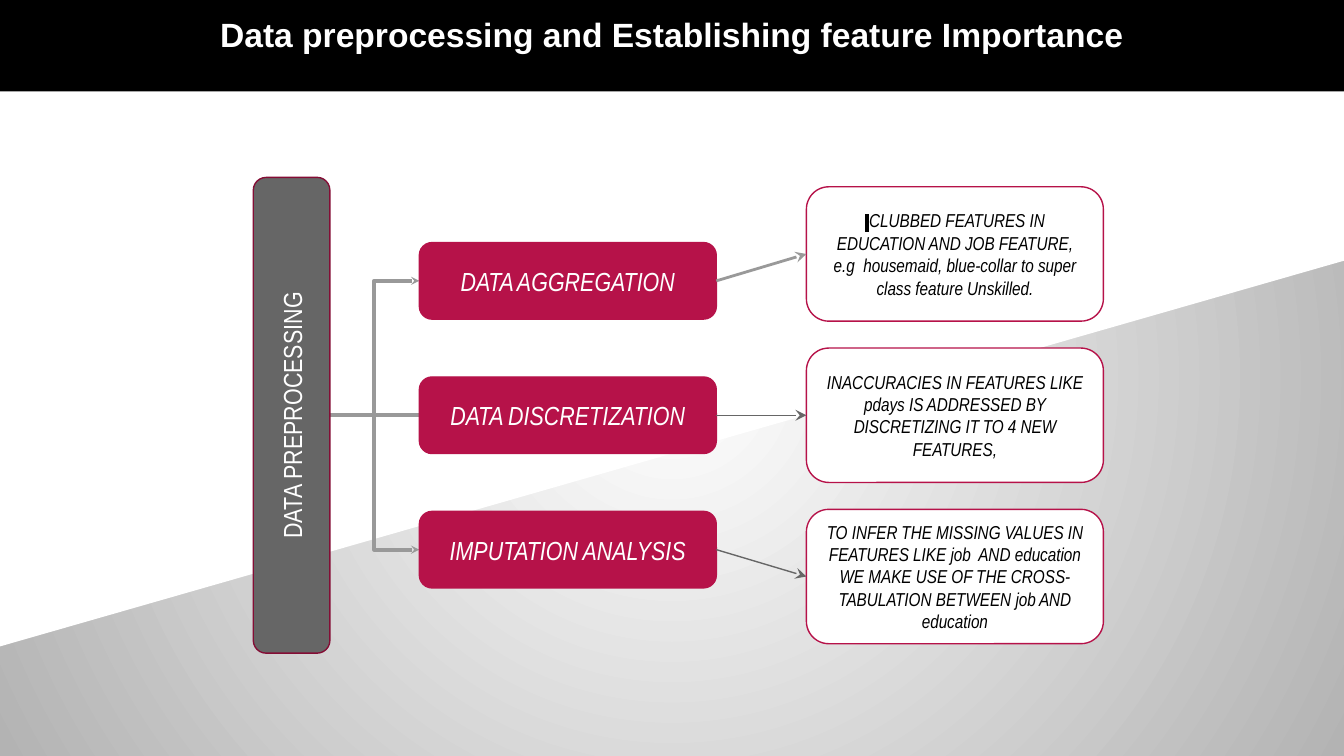
"""Build a slide that maps data preprocessing steps to their outcomes."""
from dataclasses import dataclass

from lxml.etree import SubElement
from pptx import Presentation
from pptx.dml.color import RGBColor
from pptx.enum.shapes import MSO_CONNECTOR as Link, MSO_SHAPE as Shape
from pptx.enum.text import MSO_ANCHOR, MSO_AUTO_SIZE, PP_ALIGN
from pptx.oxml import parse_xml
from pptx.oxml.ns import nsdecls, qn
from pptx.util import Inches, Pt

BLACK = RGBColor(0x00, 0x00, 0x00)
WHITE = RGBColor(0xFF, 0xFF, 0xFF)
CRIMSON = RGBColor(0xB6, 0x12, 0x49)
MAROON = RGBColor(0x84, 0x0D, 0x35)
DARK_GRAY = RGBColor(0x66, 0x66, 0x66)
MID_GRAY = RGBColor(0x99, 0x99, 0x99)
SILVER = RGBColor(0xB3, 0xB3, 0xB3)

MIDDLE = 3.09
STEP_PITCH, CARD_PITCH = 1.0, 1.2
SPINE_X, STEP_X, CARD_X = 2.17, 3.12, 6.0
BOX_W, STEP_H, CARD_H = 2.21, 0.57, 1.0
SPINE_LENGTH, SPINE_RIGHT = 3.54, 2.45


@dataclass
class Step:
    name: str
    outcome: str
    arrow_color: RGBColor
    arrow_width: float
    marked: bool = False


@dataclass
class Style:
    fill: RGBColor
    line: RGBColor
    color: RGBColor
    size: int
    italic: bool = True


SPINE = Style(DARK_GRAY, MAROON, WHITE, 14, False)
STEP = Style(CRIMSON, CRIMSON, WHITE, 14)
CARD = Style(WHITE, CRIMSON, BLACK, 10)

STEPS = [
    Step("DATA AGGREGATION",
         "CLUBBED FEATURES IN EDUCATION AND JOB FEATURE, e.g  housemaid, "
         "blue-collar to super class feature Unskilled.", MID_GRAY, 1.5, True),
    Step("DATA DISCRETIZATION",
         "INACCURACIES IN FEATURES LIKE pdays IS ADDRESSED BY DISCRETIZING "
         "IT TO 4 NEW FEATURES,", DARK_GRAY, 0.75),
    Step("IMPUTATION ANALYSIS",
         "TO INFER THE MISSING VALUES IN FEATURES LIKE job  AND education WE "
         "MAKE USE OF THE CROSS-TABULATION BETWEEN job AND education",
         DARK_GRAY, 0.75),
]


def set_frame(tf, anchor) -> None:
    tf.word_wrap = True
    tf.auto_size = MSO_AUTO_SIZE.NONE
    tf.vertical_anchor = anchor
    tf.margin_left = tf.margin_right = Inches(0.1)
    tf.margin_top = tf.margin_bottom = Inches(0.1)
    tf.paragraphs[0].alignment = PP_ALIGN.CENTER


def set_font(r, name: str, size: int, color: RGBColor) -> None:
    r.font.name = name
    r.font.size = Pt(size)
    r.font.color.rgb = color


def set_background(s) -> None:
    fill = s.background.fill
    fill.gradient()
    for stop, color in zip(fill.gradient_stops, (WHITE, SILVER)):
        stop.color.rgb = color
    grad = s.background._cSld.find(".//" + qn("a:gradFill"))
    grad.replace(grad.find(qn("a:lin")), parse_xml(
        f'<a:path {nsdecls("a")} path="circle">'
        '<a:fillToRect l="50000" t="50000" r="50000" b="50000"/></a:path>'))


def add_backdrop(s) -> None:
    corners = [(10, 0), (10, 1.94), (0, 4.81)]
    builder = s.shapes.build_freeform(0, 0)
    builder.add_line_segments([(Inches(x), Inches(y)) for x, y in corners], close=True)
    sp = builder.convert_to_shape()
    sp.shadow.inherit = False
    sp.fill.solid()
    sp.fill.fore_color.rgb = WHITE
    sp.line.fill.background()


def add_box(s, x: float, y: float, w: float, h: float, text: str, style: Style):
    sp = s.shapes.add_shape(Shape.ROUNDED_RECTANGLE, Inches(x), Inches(y - h / 2),
                            Inches(w), Inches(h))
    sp.shadow.inherit = False
    sp.fill.solid()
    sp.fill.fore_color.rgb = style.fill
    sp.line.color.rgb = style.line
    sp.line.width = Pt(0.75)
    tf = sp.text_frame
    tf.text = text
    set_frame(tf, MSO_ANCHOR.MIDDLE)
    r = tf.paragraphs[0].runs[0]
    set_font(r, "Arial Narrow", style.size, style.color)
    r.font.italic = style.italic
    return sp


def add_mark(sp) -> None:
    p = sp.text_frame.paragraphs[0]
    r = p.add_run()
    r.text = " "
    set_font(r, "Arial Narrow", CARD.size, WHITE)
    r.font.italic = True
    r._r.rPr.find(qn("a:solidFill")).addnext(parse_xml(
        f'<a:highlight {nsdecls("a")}><a:srgbClr val="{BLACK}"/></a:highlight>'))
    p.runs[0]._r.addprevious(r._r)


def add_link(s, kind, x1: float, y1: float, x2: float, y2: float,
             color: RGBColor, width: float, head: str = "") -> None:
    line = s.shapes.add_connector(kind, Inches(x1), Inches(y1), Inches(x2), Inches(y2))
    line.line.color.rgb = color
    line.line.width = Pt(width)
    if head:
        SubElement(line.line._get_or_add_ln(), qn("a:tailEnd"),
                   type="stealth", w=head, len=head)
    SubElement(line._element.spPr, qn("a:effectLst"))


def add_title(s, text: str) -> None:
    title = s.shapes.title
    title.left, title.top = Inches(0), Inches(0)
    title.width, title.height = Inches(10), Inches(0.68)
    title.fill.solid()
    title.fill.fore_color.rgb = BLACK
    tf = title.text_frame
    tf.text = text
    set_frame(tf, MSO_ANCHOR.TOP)
    r = tf.paragraphs[0].runs[0]
    set_font(r, "Arial", 18, WHITE)
    r.font.bold = True
    s.shapes._spTree.append(title._element)


def main() -> None:
    prs = Presentation()
    prs.slide_width, prs.slide_height = Inches(10), Inches(10 * 9 / 16)
    s = prs.slides.add_slide(prs.slide_layouts[5])
    set_background(s)
    add_backdrop(s)
    for offset in (1, -1):
        add_link(s, Link.ELBOW, SPINE_RIGHT, MIDDLE, STEP_X,
                 MIDDLE + offset * STEP_PITCH, MID_GRAY, 2.25, "sm")
    spine = add_box(s, SPINE_X - SPINE_LENGTH / 2, MIDDLE, SPINE_LENGTH, STEP_H,
                    "DATA PREPROCESSING", SPINE)
    spine.rotation = 270
    add_link(s, Link.STRAIGHT, (SPINE_RIGHT + STEP_X) / 2, MIDDLE, STEP_X, MIDDLE,
             MID_GRAY, 2.25)
    for i, step in enumerate(STEPS, start=-1):
        step_y = MIDDLE + i * STEP_PITCH
        card_y = MIDDLE + i * CARD_PITCH
        add_box(s, STEP_X, step_y, BOX_W, STEP_H, step.name, STEP)
        card = add_box(s, CARD_X, card_y, BOX_W, CARD_H, step.outcome, CARD)
        if step.marked:
            add_mark(card)
        add_link(s, Link.STRAIGHT, STEP_X + BOX_W, step_y, CARD_X, card_y,
                 step.arrow_color, step.arrow_width, "med")
    add_title(s, "Data preprocessing and Establishing feature Importance")
    prs.save("out.pptx")


if __name__ == "__main__":
    main()
